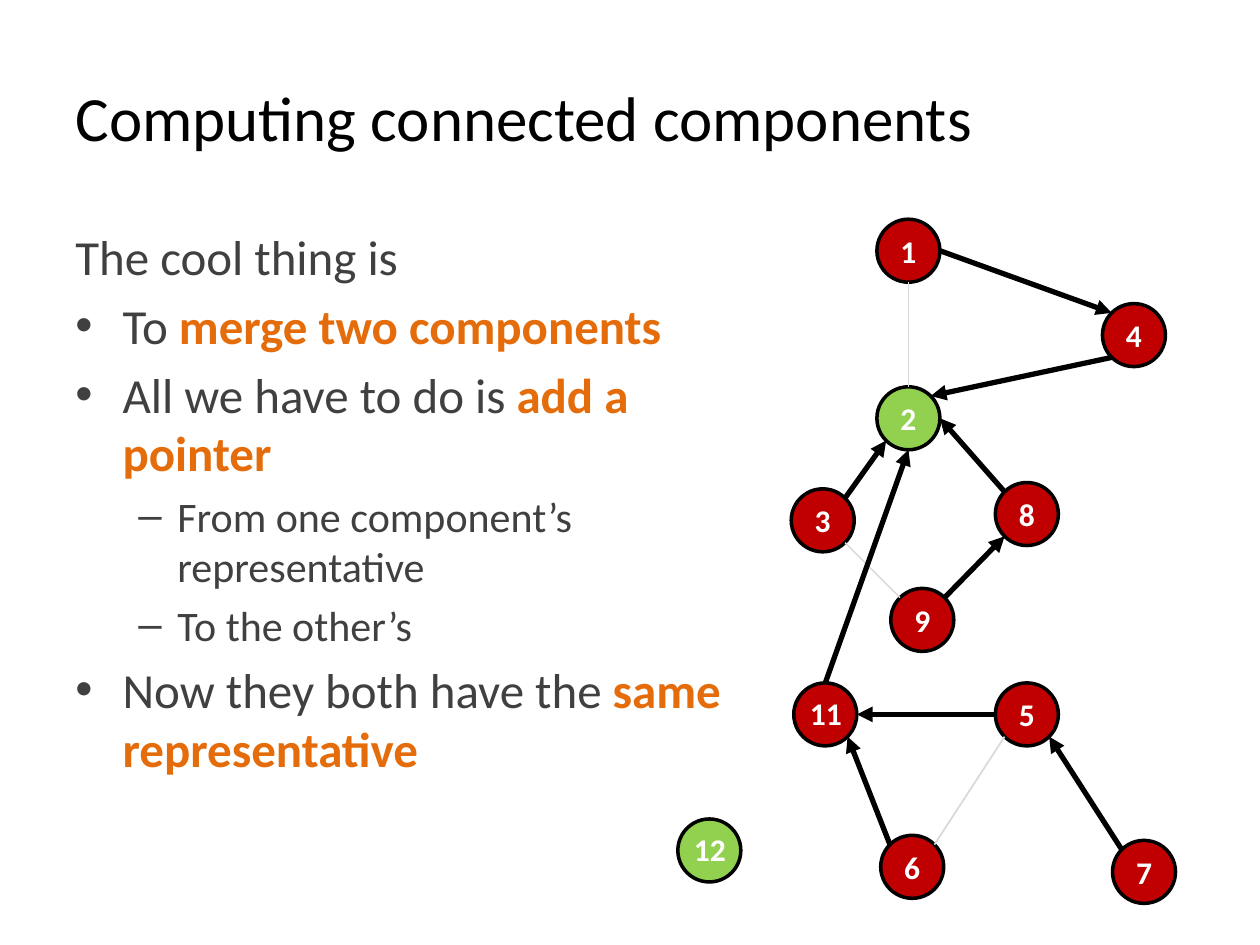
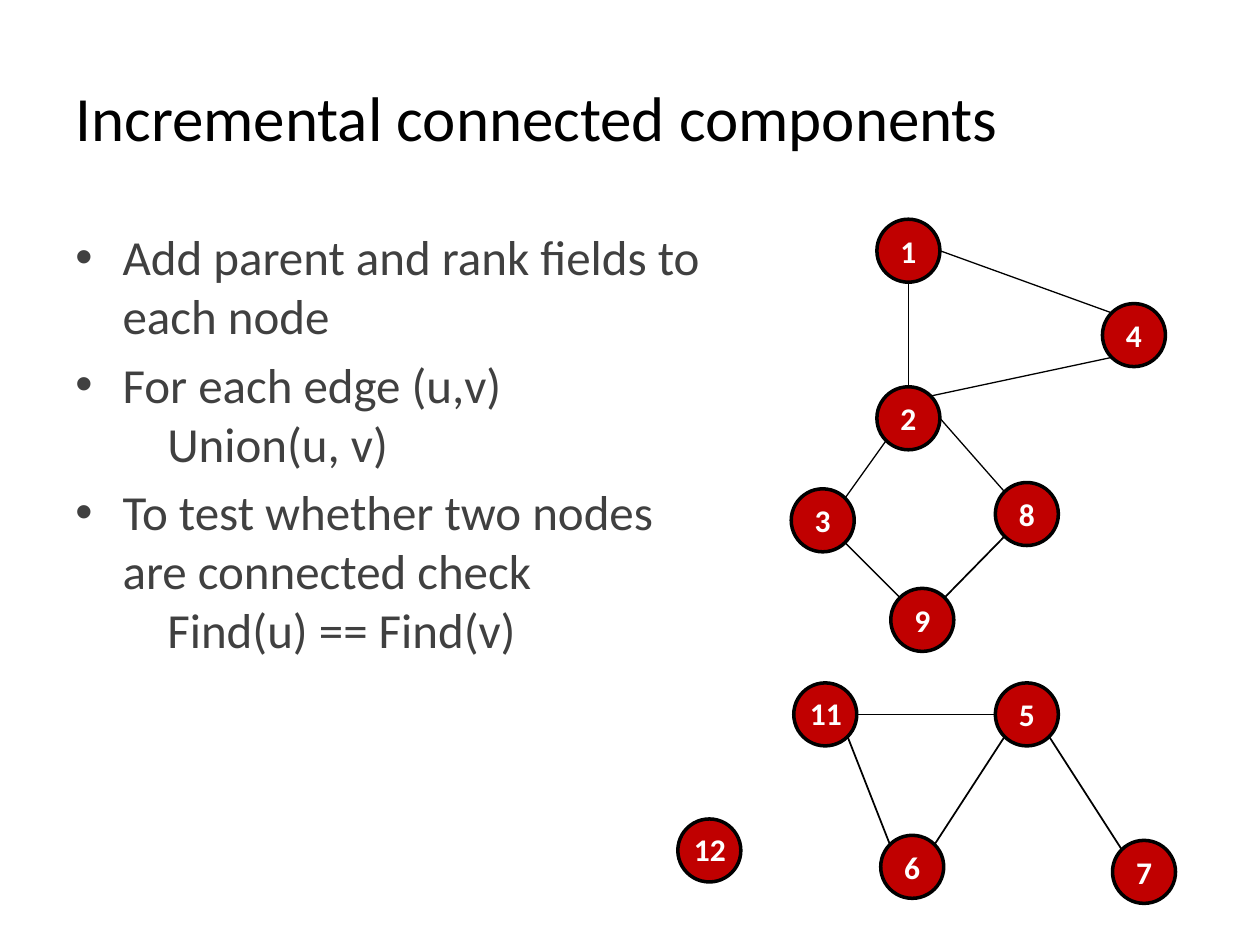
"""Build two slides on connected components, each with text beside a graph."""
from collections import namedtuple
from dataclasses import dataclass
from math import cos, radians, sin

from lxml.etree import SubElement
from pptx import Presentation
from pptx.dml.color import RGBColor as RGB
from pptx.enum.shapes import MSO_CONNECTOR as LINE, MSO_SHAPE as SHAPE
from pptx.enum.text import MSO_ANCHOR as ANCHOR, MSO_AUTO_SIZE as FIT, PP_ALIGN as ALIGN
from pptx.oxml.ns import qn
from pptx.util import Inches, Pt

CELL = 0.5  # inches; the slide is 20 columns by 15 rows
COLS, ROWS = 20, 15

Level = namedtuple("Level", "depth margin hang bullet size gap")
Edge = namedtuple("Edge", "child child_side parent parent_side weight is_pointer")


@dataclass(frozen=True)
class Theme:
    """Colours, font and type sizes of the slides."""
    font: str = "Calibri"
    ink: RGB = RGB(0x00, 0x00, 0x00)
    text: RGB = RGB(0x40, 0x40, 0x40)
    accent: RGB = RGB(0xE4, 0x6C, 0x0A)
    node: RGB = RGB(0xC0, 0x00, 0x00)
    root: RGB = RGB(0x92, 0xD0, 0x50)
    label: RGB = RGB(0xFF, 0xFF, 0xFF)
    faded: RGB = RGB(0xD9, 0xD9, 0xD9)
    title_size: int = 36
    body_size: int = 28
    sub_size: int = 24
    label_size: int = 18
    outline: int = 2
    pointer: int = 3


THEME = Theme()

# Margins and hanging indents in columns; gaps as a share of the type size.
LEVELS = {
    "plain": Level(0, 0, 0, None, THEME.body_size, 0.2),
    "bullet": Level(0, 0.75, 0.75, "•", THEME.body_size, 0.2),
    "dash": Level(1, 1.62, 0.62, "–", THEME.sub_size, 0.2),
    "code": Level(0, 1.46, 0, None, THEME.body_size, 0),
}

# Left column and top row of each node, which fills one cell.
NODES = {
    "1": (13.92, 3.48), "2": (13.92, 6.14), "3": (12.56, 7.76),
    "4": (17.5, 4.82), "5": (15.8, 10.84), "6": (13.98, 13.26),
    "7": (17.66, 13.34), "8": (15.8, 7.66), "9": (14.14, 9.34),
    "11": (12.6, 10.84), "12": (10.76, 13),
}

# Clockwise angles of the points where edges touch a node.
SIDES = {side: 45 * i for i, side in
         enumerate(("E", "SE", "S", "SW", "W", "NW", "N", "NE"))}

EDGES = [
    Edge("7", "NW", "5", "SE", 1, True),
    Edge("6", "NE", "5", "SW", 1, False),
    Edge("3", "NE", "2", "SW", 0.75, True),
    Edge("4", "SW", "2", "NE", 0.75, True),
    Edge("1", "S", "2", "N", 0.75, False),
    Edge("1", "E", "4", "NW", 0.75, True),
    Edge("9", "NE", "8", "SW", 1, True),
    Edge("3", "SE", "9", "NW", 0.75, False),
    Edge("8", "NW", "2", "E", 0.75, True),
    Edge("6", "NW", "11", "SE", 1, True),
    Edge("5", "W", "11", "E", 1, True),
]
MERGE = Edge("11", "N", "2", "S", 0.75, True)


def cells(*values):
    """Turn grid cells into slide lengths."""
    return [Inches(v * CELL) for v in values]


def touch_point(node, side):
    """Return the grid point on one side of a node's circle."""
    col, row = NODES[node]
    angle = radians(SIDES[side])
    return col + 0.5 + 0.5 * cos(angle), row + 0.5 + 0.5 * sin(angle)


class Deck:
    """Holds the style and the current slide, and draws on it."""

    def __init__(self, theme):
        """Start an empty presentation."""
        self.theme = theme
        self.prs = Presentation()
        self.prs.slide_width, self.prs.slide_height = cells(COLS, ROWS)
        self.s = None

    def run(self, p, text, size, color, bold=False):
        """Add one styled run to a paragraph."""
        r = p.add_run()
        r.text = text
        r.font.name, r.font.size = self.theme.font, Pt(size)
        r.font.bold, r.font.color.rgb = bold, color

    def slide(self, title):
        """Add a slide and set its title."""
        self.s = self.prs.slides.add_slide(self.prs.slide_layouts[5])
        sp = self.s.shapes.title
        sp.left, sp.top, sp.width, sp.height = cells(1, 0.6, 18, 2.5)
        tf = sp.text_frame
        tf.vertical_anchor = ANCHOR.MIDDLE
        p = tf.paragraphs[0]
        p.alignment = ALIGN.LEFT
        self.run(p, title, self.theme.title_size, self.theme.ink)

    def body(self, height, lines):
        """Add the text; parts between asterisks are emphasised."""
        t = self.theme
        tf = self.s.shapes.add_textbox(*cells(1, 3.5, 10.74, height)).text_frame
        tf.word_wrap, tf.auto_size = True, FIT.NONE
        for i, (kind, text) in enumerate(lines):
            p = tf.add_paragraph() if i else tf.paragraphs[0]
            level = LEVELS[kind]
            self.indent(p, level)
            for j, part in enumerate(text.split("*")):
                if part:
                    strong = j % 2 == 1
                    self.run(p, part, level.size, t.accent if strong else t.text, strong)

    def indent(self, p, level):
        """Set a paragraph's depth, spacing, indent and bullet."""
        p.level = level.depth
        p.space_before = Pt(level.size * level.gap)
        margin, hang = cells(level.margin, level.hang)
        ppr = p._p.get_or_add_pPr()
        ppr.set("marL", str(margin))
        ppr.set("indent", str(-hang))
        if level.bullet:
            SubElement(ppr, qn("a:buFont"), typeface="Arial")
            SubElement(ppr, qn("a:buChar"), char=level.bullet)
        else:
            SubElement(ppr, qn("a:buNone"))

    def node(self, name, fill):
        """Draw a numbered circle; two digits get a label box of their own."""
        t = self.theme
        col, row = NODES[name]
        sp = self.s.shapes.add_shape(SHAPE.OVAL, *cells(col, row, 1, 1))
        sp.shadow.inherit = False
        sp.fill.solid()
        sp.fill.fore_color.rgb = fill
        sp.line.color.rgb, sp.line.width = t.ink, Pt(t.outline)
        tf = sp.text_frame
        tf.vertical_anchor = ANCHOR.MIDDLE
        if len(name) > 1:
            box = self.s.shapes.add_textbox(*cells(col + 0.06, row + 0.08, 0.92, 0.8))
            tf = box.text_frame
            tf.word_wrap, tf.auto_size = False, FIT.SHAPE_TO_FIT_TEXT
        p = tf.paragraphs[0]
        p.alignment = ALIGN.LEFT if len(name) > 1 else ALIGN.CENTER
        self.run(p, name, t.label_size, t.label, True)

    def edge(self, edge, color, weight, arrow):
        """Draw an edge from child to parent."""
        start = touch_point(edge.child, edge.child_side)
        end = touch_point(edge.parent, edge.parent_side)
        line = self.s.shapes.add_connector(LINE.STRAIGHT, *cells(*start, *end))
        line.line.color.rgb, line.line.width = color, Pt(weight)
        if arrow:
            SubElement(line.line._get_or_add_ln(), qn("a:tailEnd"), type="triangle")
        SubElement(line._element.spPr, qn("a:effectLst"))

    def graph(self, edges, roots=(), directed=False):
        """Draw all nodes and edges; a directed graph fades unused edges."""
        t = self.theme
        for name in NODES:
            self.node(name, t.root if name in roots else t.node)
        for edge in edges:
            arrow = directed and edge.is_pointer
            color = t.faded if directed and not arrow else t.ink
            self.edge(edge, color, t.pointer if arrow else edge.weight, arrow)


def main():
    """Build and save both slides."""
    deck = Deck(THEME)

    deck.slide("Computing connected components")
    deck.body(10.38, [
        ("plain", "The cool thing is"),
        ("bullet", "To *merge two components*"),
        ("bullet", "All we have to do is *add a pointer*"),
        ("dash", "From one component’s representative"),
        ("dash", "To the other’s"),
        ("bullet", "Now they both have the *same representative*"),
    ])
    deck.graph(EDGES + [MERGE], roots=("2", "12"), directed=True)

    deck.slide("Incremental connected components")
    deck.body(9.9, [
        ("bullet", "Add parent and rank fields to each node"),
        ("bullet", "For each edge (u,v)"),
        ("code", "Union(u, v)"),
        ("bullet", "To test whether two nodes are connected check"),
        ("code", "Find(u) == Find(v)"),
    ])
    deck.graph(EDGES)

    deck.prs.save("out.pptx")


main()
